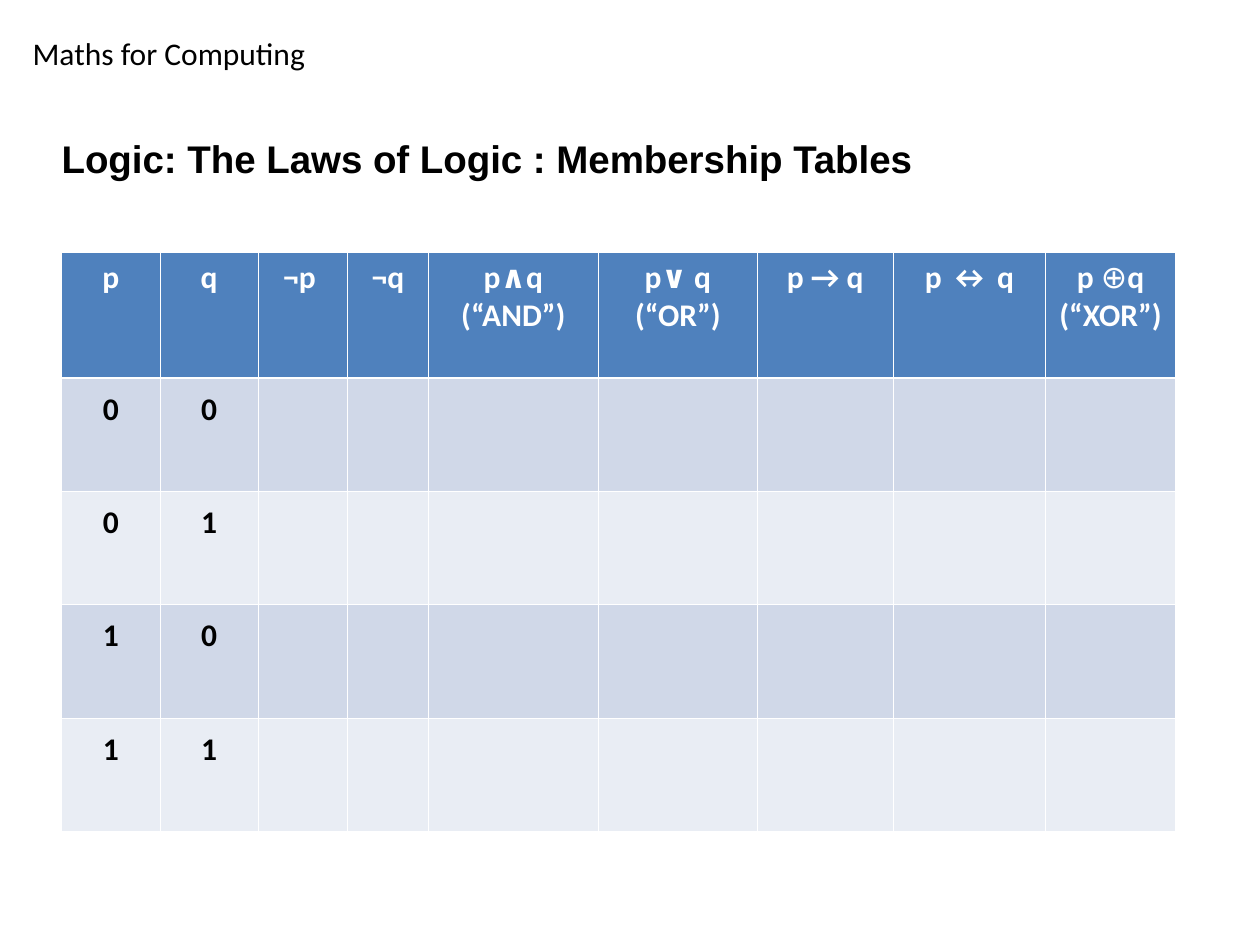
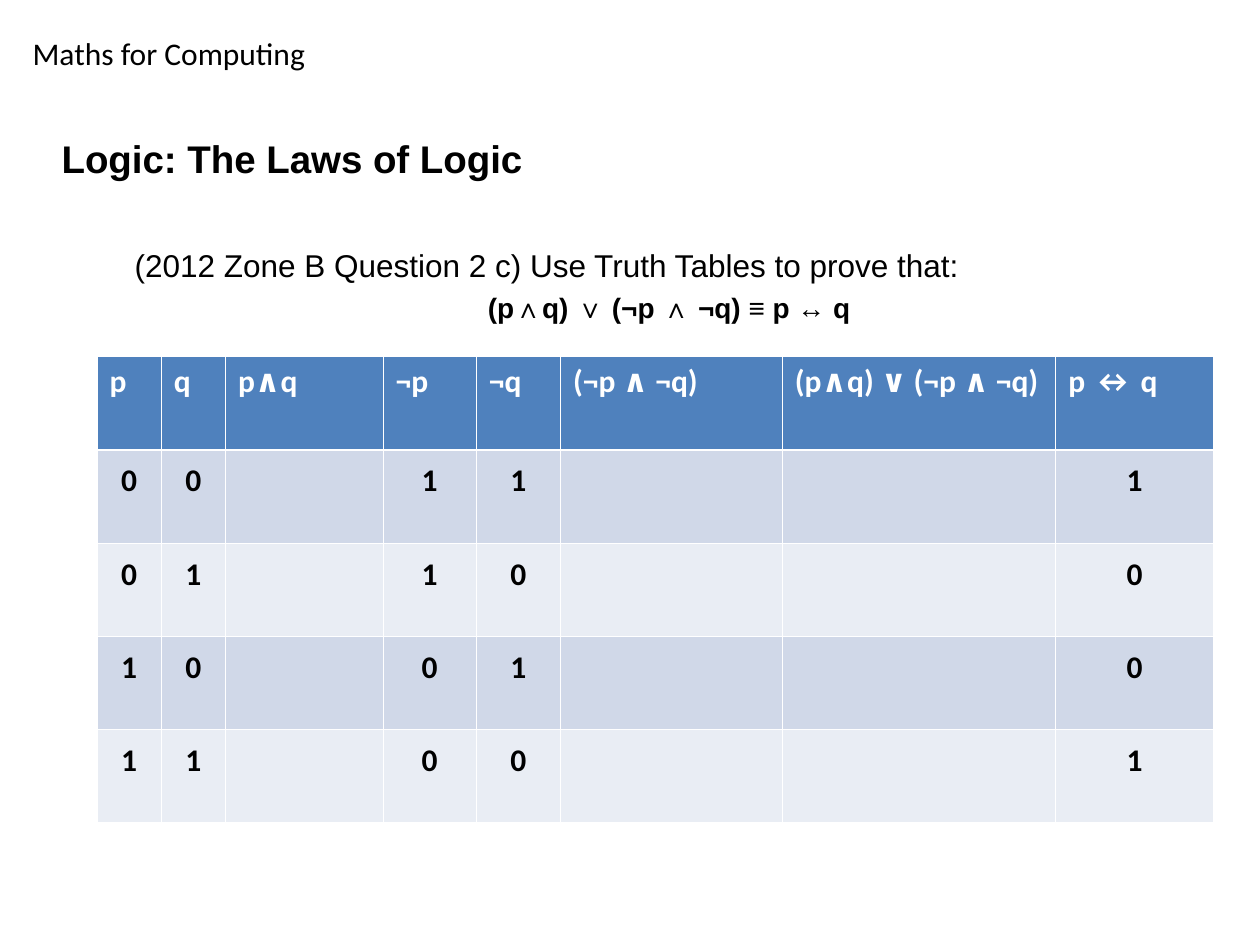
from itertools import groupby

from lxml import etree
from pptx import Presentation
from pptx.dml.color import RGBColor
from pptx.enum.text import PP_ALIGN
from pptx.oxml.ns import qn
from pptx.util import Inches, Pt

LEFT, CENTER = PP_ALIGN.LEFT, PP_ALIGN.CENTER
BLACK, WHITE = "000000", "FFFFFF"
HEAD_FILL, BANDS = "4F81BD", ("D0D8E8", "E9EDF4")
THIN, THICK = 0.45, 1.47

COURSE = "Maths for Computing"
QUESTION = "(2012 Zone B Question 2 c) Use Truth Tables to prove that:"
FORMULA = "(p∧q) ∨ (¬p ∧ ¬q) ≡ p ↔ q"
LIGHT_IN_FORMULA, LIGHT_IN_HEADING = "∧∨≡↔", "⊕"

# Each column: heading, width, truth values from top to bottom
SLIDES = [
    {
        "title": "Logic: The Laws of Logic : Membership Tables",
        "place": (0.49, 2), "heading_align": CENTER,
        "row_heights": (1, 0.9, 0.9, 0.9, 0.9),
        "columns": [
            ("p", 0.78, "0011"),
            ("q", 0.78, "0101"),
            ("¬p ", 0.71, ""),
            ("¬q", 0.64, ""),
            ("p∧q\n(“AND”)", 1.35, ""),
            ("p∨ q\n(“OR”)", 1.26, ""),
            ("p → q", 1.08, ""),
            ("p ↔ q", 1.21, ""),
            ("p ⊕q\n(“XOR”)", 1.03, ""),
        ],
    },
    {
        "title": "Logic: The Laws of Logic",
        "question": (QUESTION, FORMULA),
        "place": (0.77, 2.83), "heading_align": LEFT,
        "row_heights": (0.74,) * 5,
        "columns": [
            ("p", 0.51, "0011"),
            ("q", 0.51, "0101"),
            ("p∧q", 1.25, ""),
            ("¬p", 0.74, "1100"),
            ("¬q", 0.67, "1010"),
            ("(¬p ∧ ¬q)", 1.76, ""),
            ("(p∧q) ∨ (¬p ∧ ¬q)", 2.17, ""),
            ("p ↔ q", 1.25, "1001"),
        ],
    },
]


def color(hex_code):
    return RGBColor.from_string(hex_code)


def write(para, text, size, font, ink=BLACK, bold=False, light=""):
    """Fill a paragraph; characters listed in light are never bold."""
    for is_light, letters in groupby(text, key=lambda letter: letter in light):
        span = para.add_run()
        span.text = "".join(letters)
        span.font.size = Pt(size)
        span.font.name = font
        span.font.bold = bold and not is_light
        span.font.color.rgb = color(ink)


def add_box(page, left, top, width, height):
    box = page.shapes.add_textbox(*map(Inches, (left, top, width, height)))
    box.text_frame.word_wrap = True
    return box.text_frame


def add_question(page, question, formula):
    frame = add_box(page, 0.5, 1.9, 9.15, 5.6)
    first, second = frame.paragraphs[0], frame.add_paragraph()
    write(first, question, 18, "Arial")
    write(second, formula, 16, "Arial", bold=True, light=LIGHT_IN_FORMULA)
    second.alignment = CENTER
    second.space_before = Pt(4)
    for para in (first, second):
        properties = para._p.get_or_add_pPr()
        properties.set("marL", str(Inches(0.47)))
        properties.set("indent", "0")


def set_borders(cell, top, bottom):
    properties = cell._tc.get_or_add_tcPr()
    widths = {"a:lnL": THIN, "a:lnR": THIN, "a:lnT": top, "a:lnB": bottom}
    for position, (tag, width) in enumerate(widths.items()):
        line = etree.Element(qn(tag), w=str(Pt(width)))
        fill = etree.SubElement(line, qn("a:solidFill"))
        etree.SubElement(fill, qn("a:srgbClr"), val=WHITE)
        properties.insert(position, line)


def style_cell(cell, row):
    cell.fill.solid()
    cell.fill.fore_color.rgb = color(BANDS[(row - 1) % 2] if row else HEAD_FILL)
    cell.margin_left = cell.margin_right = Inches(0.08 if row else 0.1)
    set_borders(cell, THICK if row == 1 else THIN, THIN if row else THICK)


def write_heading(cell, heading, align):
    frame = cell.text_frame
    for number, text in enumerate(heading.split("\n")):
        para = frame.add_paragraph() if number else frame.paragraphs[0]
        para.alignment = align
        write(para, text, 18, "Calibri", WHITE, True, LIGHT_IN_HEADING)


def write_value(cell, value):
    para = cell.text_frame.paragraphs[0]
    para.alignment = CENTER
    para.line_spacing = 1.15
    para.space_after = Pt(8)
    write(para, value, 18, "Calibri", bold=True)


def add_truth_table(page, place, row_heights, columns, heading_align):
    width = sum(column[1] for column in columns)
    frame = page.shapes.add_table(
        len(row_heights), len(columns),
        *map(Inches, (*place, width, sum(row_heights))))
    table = frame.table
    for row, height in zip(table.rows, row_heights):
        row.height = Inches(height)
    for index, (heading, width, values) in enumerate(columns):
        table.columns[index].width = Inches(width)
        for row in range(len(row_heights)):
            style_cell(table.cell(row, index), row)
        write_heading(table.cell(0, index), heading, heading_align)
        for row, value in enumerate(values, 1):
            write_value(table.cell(row, index), value)


def add_page(deck, content):
    page = deck.slides.add_slide(deck.slide_layouts[6])
    course = add_box(page, 0.16, 0.22, 6.91, 0.4)
    write(course.paragraphs[0], COURSE, 18, "Calibri")
    title = add_box(page, 0.39, 1.02, 8.12, 0.43)
    write(title.paragraphs[0], content["title"], 22, "Arial", bold=True)
    if "question" in content:
        add_question(page, *content["question"])
    add_truth_table(page, content["place"], content["row_heights"],
                    content["columns"], content["heading_align"])


def main():
    deck = Presentation()
    deck.slide_width, deck.slide_height = Inches(10), Inches(7.5)
    for content in SLIDES:
        add_page(deck, content)
    deck.save("out.pptx")


if __name__ == "__main__":
    main()
